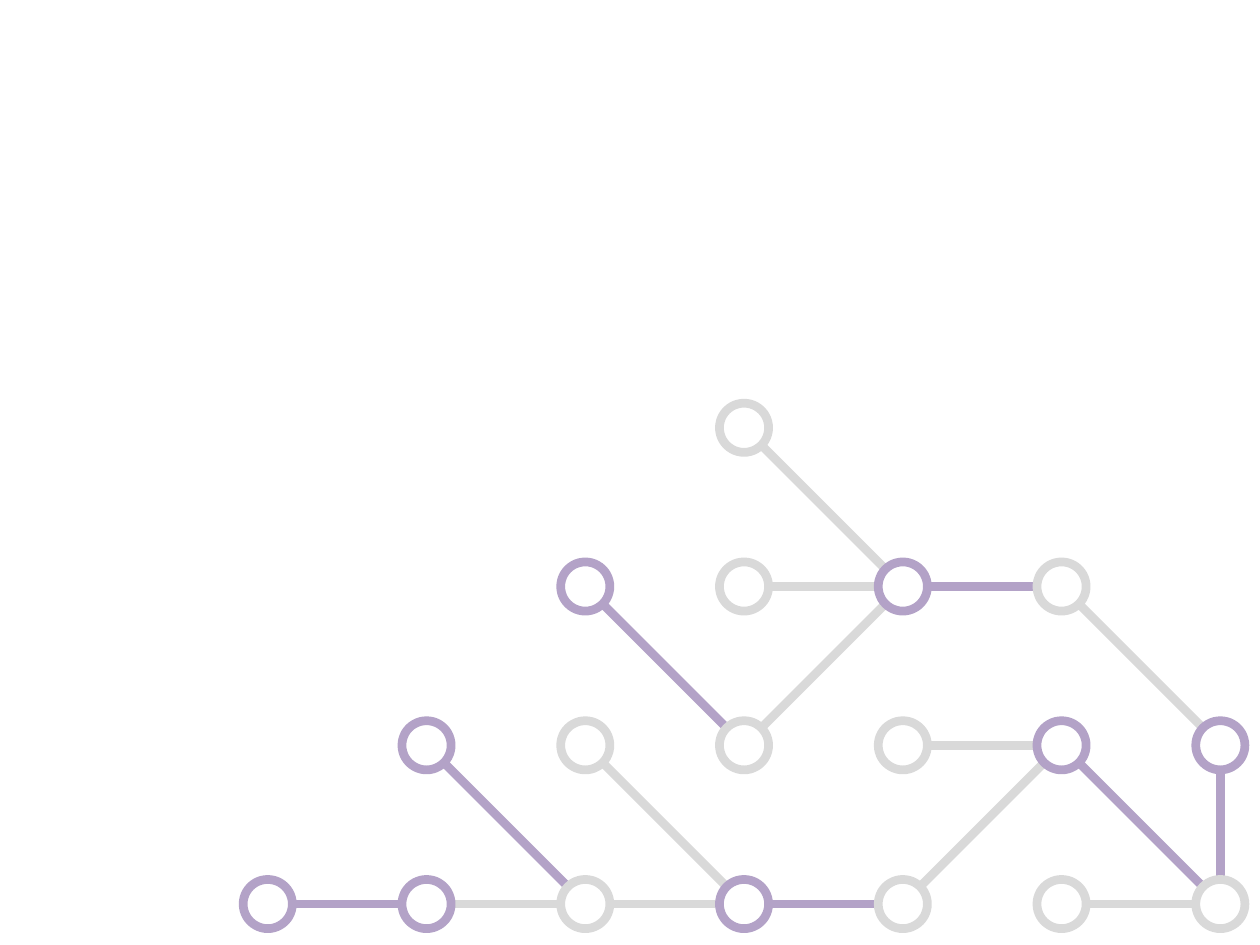
from math import hypot
from typing import NamedTuple

from lxml import etree
from pptx import Presentation
from pptx import util as u
from pptx.dml.color import RGBColor
from pptx.enum import shapes
from pptx.oxml.ns import qn

GREY, LILAC = "D9D9D9", "B3A2C7"
LEFT, TOP = 1.93, 3.2
STEP, SIZE = 1.26, 0.39


class Node(NamedTuple):
    col: int
    row: int
    hue: str = GREY

    @property
    def x(self) -> float:
        return LEFT + STEP * self.col

    @property
    def y(self) -> float:
        return TOP + STEP * self.row


class Link(NamedTuple):
    start: tuple[int, int]
    end: tuple[int, int]
    hue: str = GREY


LINKS = [
    Link((4, 1), (5, 1), LILAC),
    Link((5, 1), (6, 2)),
    Link((6, 3), (5, 3)),
    Link((5, 2), (6, 3), LILAC),
    Link((5, 2), (4, 3)),
    Link((4, 2), (5, 2)),
    Link((4, 1), (3, 2)),
    Link((3, 1), (4, 1)),
    Link((3, 3), (4, 3), LILAC),
    Link((3, 3), (2, 3)),
    Link((2, 2), (3, 3)),
    Link((2, 3), (1, 3)),
    Link((2, 1), (3, 2), LILAC),
    Link((3, 0), (4, 1)),
    Link((1, 2), (2, 3), LILAC),
    Link((1, 3), (0, 3), LILAC),
    Link((6, 2), (6, 3), LILAC),
]

NODES = [
    Node(6, 2, LILAC), Node(6, 3),
    Node(5, 2, LILAC), Node(5, 1),
    Node(4, 1, LILAC), Node(5, 3),
    Node(4, 2), Node(4, 3),
    Node(3, 1), Node(3, 2), Node(3, 3, LILAC),
    Node(2, 2), Node(2, 3),
    Node(1, 3, LILAC), Node(2, 1, LILAC),
    Node(3, 0), Node(1, 2, LILAC), Node(0, 3, LILAC),
]


def stroke(line, hue: str) -> None:
    line.color.rgb = RGBColor.from_string(hue)
    line.width = u.Pt(5)


def add_link(slide, link: Link) -> None:
    """Join two rings from rim to rim."""
    a, b = Node(*link.start), Node(*link.end)
    span = hypot(b.x - a.x, b.y - a.y)
    dx, dy = ((q - p) / span * SIZE / 2 for p, q in ((a.x, b.x), (a.y, b.y)))
    mid = SIZE / 2
    ends = (a.x + mid + dx, a.y + mid + dy, b.x + mid - dx, b.y + mid - dy)
    line = slide.shapes.add_connector(
        shapes.MSO_CONNECTOR.STRAIGHT, *map(u.Inches, ends))
    stroke(line.line, link.hue)
    etree.SubElement(line._element.spPr, qn("a:effectLst"))


def add_node(slide, node: Node) -> None:
    box = map(u.Inches, (node.x, node.y, SIZE, SIZE))
    ring = slide.shapes.add_shape(shapes.MSO_SHAPE.OVAL, *box)
    ring.shadow.inherit = False
    ring.fill.background()
    stroke(ring.line, node.hue)


def main() -> None:
    deck = Presentation()
    deck.slide_width, deck.slide_height = u.Inches(10), u.Inches(7.5)
    slide = deck.slides.add_slide(deck.slide_layouts[6])
    for link in LINKS:
        add_link(slide, link)
    for node in NODES:
        add_node(slide, node)
    deck.save("out.pptx")


if __name__ == "__main__":
    main()
